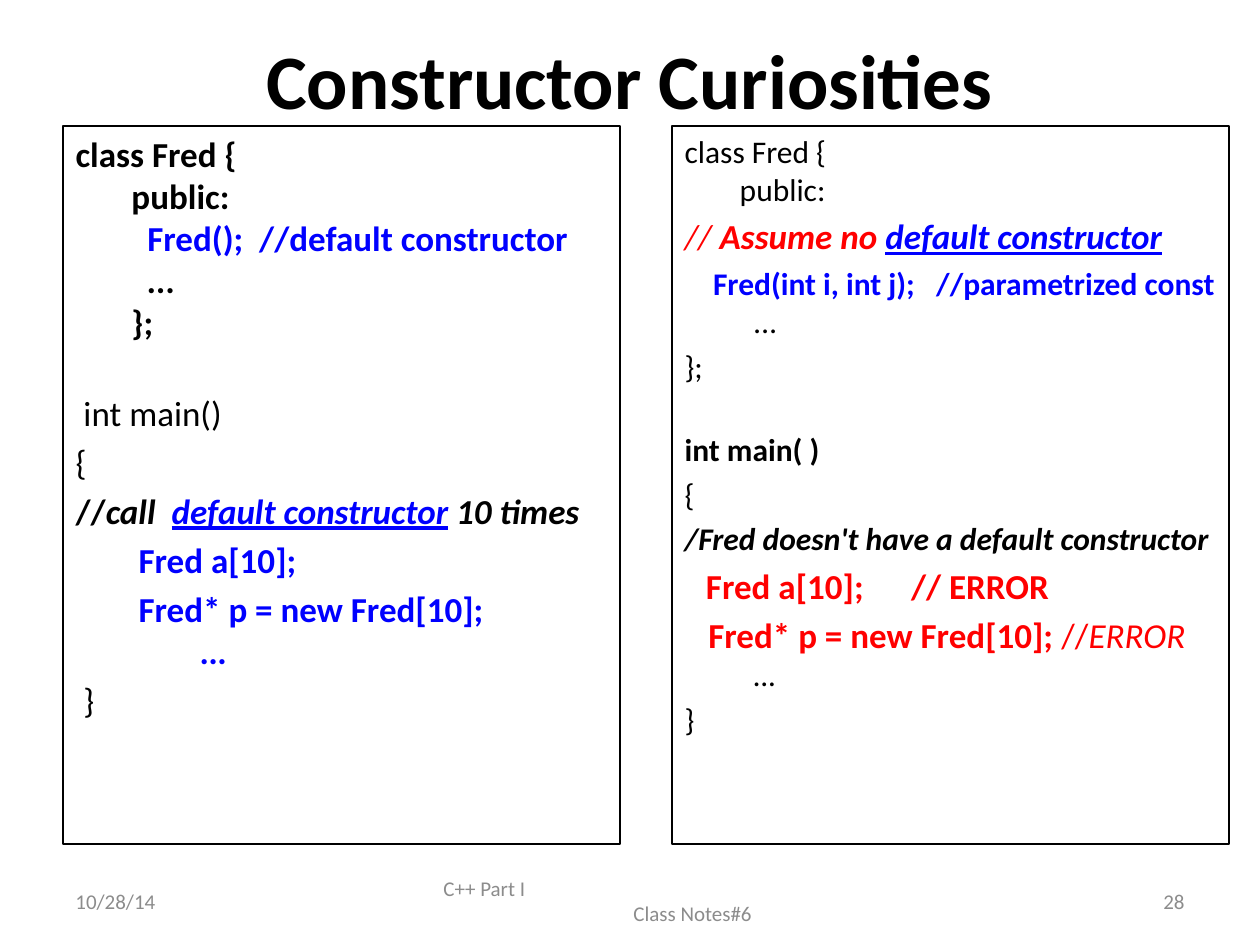
import pptx
import pptx.util
import pptx.dml.color
import pptx.enum.text
import pptx.oxml.ns
import lxml.etree

ALIGN = pptx.enum.text.PP_ALIGN
ANCHOR = pptx.enum.text.MSO_ANCHOR
SCALE = 914400 / 126

THEME = {
    "font": "Calibri",
    "black": "000000", "blue": "0000FF", "red": "FF0000", "grey": "8C8C8C",
    "head": 44, "code": 20, "small": 18, "foot": 12,
    "line": 0.75,
}
FLAGS = {"b": "bold", "i": "italic", "u": "underline"}
# Left margin and hanging indent of each list level, in px
LEVELS = [(48, -48), (102, -39)]


def px(val):
    return pptx.util.Emu(round(val * SCALE))


def rgb(name):
    return pptx.dml.color.RGBColor.from_string(THEME[name])


def place(shape, box):
    for key, val in zip(("left", "top", "width", "height"), box):
        setattr(shape, key, px(val))


def set_frame(frame, **more):
    vals = {"word_wrap": True, "auto_size": pptx.enum.text.MSO_AUTO_SIZE.NONE, **more}
    for key, val in vals.items():
        setattr(frame, key, val)


def add_run(para, text, size="code", color="black", flags=""):
    """Add text in one style; a newline becomes a line break."""
    vals = {"name": THEME["font"], "size": pptx.util.Pt(THEME[size])}
    vals.update({attr: flag in flags for flag, attr in FLAGS.items()})
    for num, part in enumerate(text.split("\n")):
        if num:
            para.add_line_break()
        if part:
            run = para.add_run()
            run.text = part
            for key, val in vals.items():
                setattr(run.font, key, val)
            run.font.color.rgb = rgb(color)


def add_title(shape, box, text):
    place(shape, box)
    set_frame(shape.text_frame, vertical_anchor=ANCHOR.MIDDLE)
    para = shape.text_frame.paragraphs[0]
    para.alignment = ALIGN.CENTER
    add_run(para, text, "head", flags="b")


def add_code(shape, box, rows):
    """Fill a framed list; each row is level, space before, runs."""
    place(shape, box)
    shape.line.color.rgb = rgb("black")
    shape.line.width = pptx.util.Pt(THEME["line"])
    frame = shape.text_frame
    set_frame(frame, vertical_anchor=ANCHOR.TOP)
    for num, (level, gap, runs) in enumerate(rows):
        para = frame.add_paragraph() if num else frame.paragraphs[0]
        para.level = level
        para.space_before = pptx.util.Pt(gap)
        props = para._p.get_or_add_pPr()
        for key, val in zip(("marL", "indent"), LEVELS[level]):
            props.set(key, str(px(val)))
        lxml.etree.SubElement(props, pptx.oxml.ns.qn("a:buNone"))
        for run in runs:
            add_run(para, *run)


def add_foot(slide, box, lines, align=ALIGN.LEFT):
    """Add a footer box; each line is its text and left indent in px."""
    frame = slide.shapes.add_textbox(*map(px, box)).text_frame
    set_frame(frame, vertical_anchor=ANCHOR.MIDDLE)
    for num, (text, inset) in enumerate(lines):
        para = frame.add_paragraph() if num else frame.paragraphs[0]
        para.alignment = align
        if inset:
            para._p.get_or_add_pPr().set("marL", str(px(inset)))
        add_run(para, text, "foot", "grey")


# Class with a default constructor
GOOD = [
    (0, 0, [("class Fred {\n public:\n   ", "code", "black", "b"),
            ("Fred();  //default constructor\n   ", "code", "blue", "b"),
            ("...\n", "code", "black", "bi"),
            (" };", "code", "black", "b")]),
    (0, 28, [(" int main()",)]),
    (0, 4, [("{",)]),
    (0, 4, [("//", "code", "black", "b"),
            ("call  ", "code", "black", "bi"),
            ("default constructor", "code", "blue", "biu"),
            (" 10 times", "code", "black", "bi")]),
    (1, 4, [("Fred a[10];", "code", "blue", "b")]),
    (1, 4, [("Fred* p = new Fred[10];\n   ", "code", "blue", "b"),
            ("…", "code", "blue", "bi")]),
    (0, 4, [(" }",)]),
]

# Class without a default constructor
BAD = [
    (0, 0, [("class Fred {\n public:", "small")]),
    (0, 4, [("// ", "code", "red", "i"),
            ("Assume no ", "code", "red", "bi"),
            ("default constructor", "code", "blue", "biu")]),
    (0, 4, [("    Fred(int i, int j);   //parametrized const\n", "small", "blue", "b"),
            ("   ...", "small", "black", "i")]),
    (0, 4, [("};", "small")]),
    (0, 26, [("int main( )", "small", "black", "b")]),
    (0, 4, [("{", "small")]),
    (0, 4, [("/Fred doesn't have a default constructor", "small", "black", "bi")]),
    (0, 4, [("   ", "small"),
            ("Fred a[10];      // ERROR", "code", "red", "b")]),
    (0, 4, [("   Fred* p = new Fred[10];", "code", "red", "b"),
            (" //", "code", "red"),
            ("ERROR\n", "code", "red", "i"),
            ("   ", "small"),
            ("…", "small", "black", "i")]),
    (0, 4, [("}", "small")]),
]


def main():
    deck = pptx.Presentation()
    deck.slide_width, deck.slide_height = px(1260), px(945)
    slide = deck.slides.add_slide(deck.slide_layouts.get_by_name("Two Content"))
    title, left, right = slide.placeholders

    # Title and the two code panels
    add_title(title, (63, 0, 1134, 158), "Constructor Curiosities")
    for shape, x, rows in ((left, 63, GOOD), (right, 672, BAD)):
        add_code(shape, (x, 126, 557, 718), rows)

    # Footer: date, course, page number
    add_foot(slide, (63, 876, 294, 50), [("10/28/14", 0)])
    add_foot(slide, (431, 876, 399, 50), [("C++ Part I", 0), ("Class Notes#6", 190)])
    add_foot(slide, (903, 876, 294, 50), [("28", 0)], ALIGN.RIGHT)
    deck.save("out.pptx")


if __name__ == "__main__":
    main()
